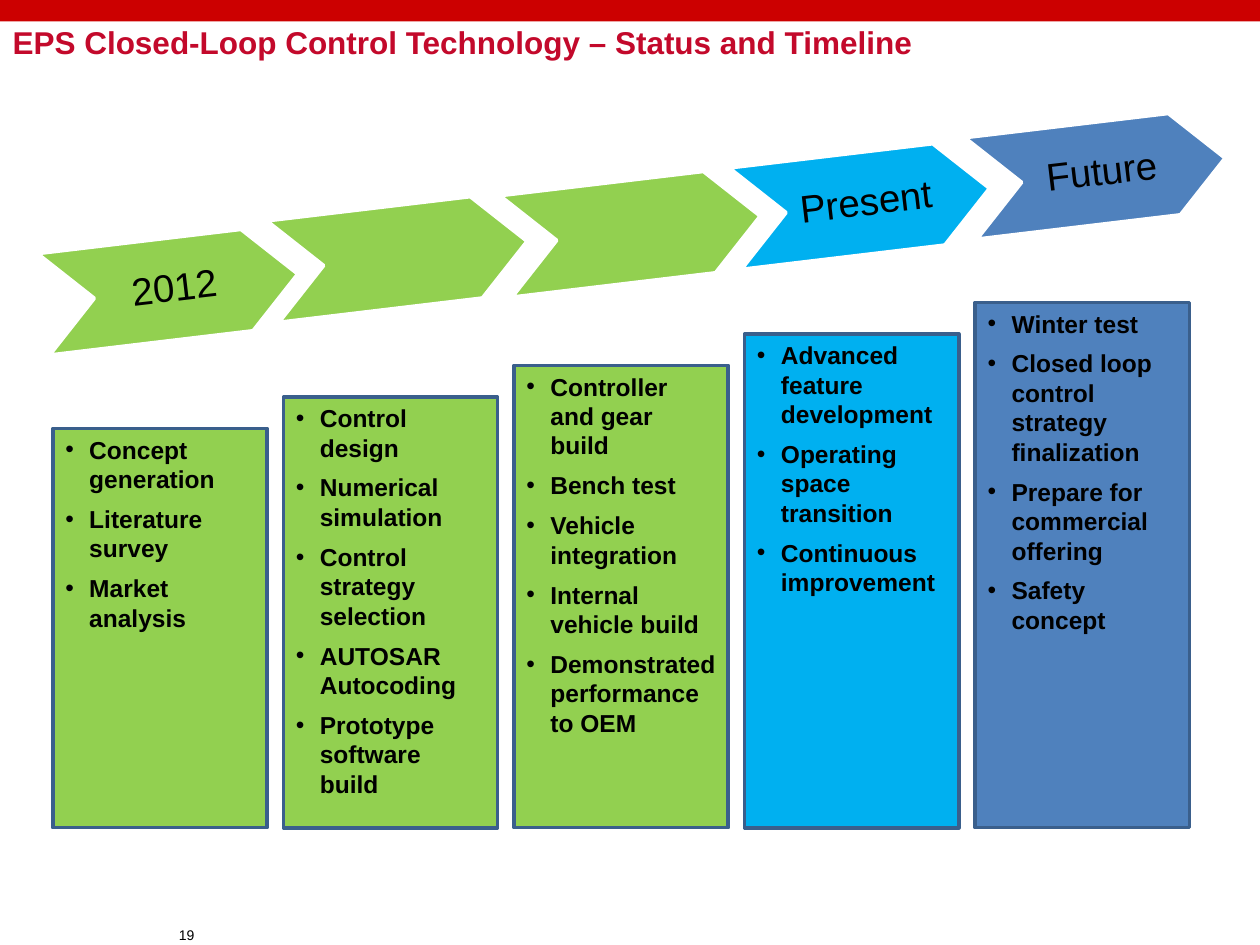
import pptx
import pptx.dml.color
import pptx.enum.shapes
import pptx.enum.text
import pptx.oxml
import pptx.oxml.ns
import pptx.util

Inches = pptx.util.Inches
Pt = pptx.util.Pt
SHAPE = pptx.enum.shapes.MSO_SHAPE
ALIGN = pptx.enum.text.PP_ALIGN
ANCHOR = pptx.enum.text.MSO_ANCHOR

GREEN, CYAN, BLUE = "92D050", "00B0F0", "4F81BD"
TILT = 353.2
BOTTOM = 6.57

STAGES = [
    ("2012", GREEN, 0.34, 1.89,
     ["Concept generation", "Literature survey", "Market analysis"]),
    ("", GREEN, 2.16, 1.63,
     ["Control design", "Numerical simulation", "Control strategy selection",
      "AUTOSAR Autocoding", "Prototype software build"]),
    ("", GREEN, 4.01, 1.43,
     ["Controller and gear build", "Bench test", "Vehicle integration",
      "Internal vehicle build", "Demonstrated performance to OEM"]),
    ("Present", CYAN, 5.83, 1.21,
     ["Advanced feature development", "Operating space transition",
      "Continuous improvement"]),
    ("Future", BLUE, 7.7, 0.97,
     ["Winter test", "Closed loop control strategy finalization",
      "Prepare for commercial offering", "Safety concept"]),
]


def rgb(value):
    return pptx.dml.color.RGBColor.from_string(value)


def set_frame(tf, anchor, insets):
    tf.word_wrap = True
    tf.auto_size = pptx.enum.text.MSO_AUTO_SIZE.NONE
    tf.vertical_anchor = anchor
    tf.margin_left, tf.margin_top, tf.margin_right, tf.margin_bottom = map(Inches, insets)


def write(p, text, size=14, color="000000", bold=False, align=ALIGN.LEFT,
          after=0, spacing=1.0):
    p.alignment = align
    p.space_before = Pt(0)
    p.space_after = Pt(after)
    p.line_spacing = spacing
    r = p.add_run()
    r.text = text
    r.font.name = "Arial"
    r.font.size = Pt(size)
    r.font.bold = bold
    r.font.color.rgb = rgb(color)


def add_bullet(p):
    pPr = p._p.get_or_add_pPr()
    pPr.set("marL", str(Inches(0.19)))
    pPr.set("indent", str(-Inches(0.19)))
    ns = pptx.oxml.ns.nsdecls("a")
    for xml in (f'<a:buFont {ns} typeface="Arial"/>', f'<a:buChar {ns} char="•"/>'):
        pPr.append(pptx.oxml.parse_xml(xml))


def add_block(s, kind, box, fill, line=None):
    sp = s.shapes.add_shape(kind, *map(Inches, box))
    sp.shadow.inherit = False
    sp.fill.solid()
    sp.fill.fore_color.rgb = rgb(fill)
    if line:
        sp.line.color.rgb = rgb(line)
        sp.line.width = Pt(2)
    else:
        sp.line.fill.background()
    return sp


def add_text(s, text, box, anchor, insets, **fmt):
    sp = s.shapes.add_textbox(*map(Inches, box))
    set_frame(sp.text_frame, anchor, insets)
    write(sp.text_frame.paragraphs[0], text, **fmt)
    return sp


def add_title(s, text):
    sp = s.shapes.title
    sp.left, sp.top, sp.width, sp.height = map(Inches, (0, 0, 7.83, 0.67))
    set_frame(sp.text_frame, ANCHOR.MIDDLE, (0.1, 0.05, 0.1, 0.05))
    write(sp.text_frame.paragraphs[0], text, size=18, color="C3092B", bold=True)


def add_task_box(s, left, top, fill, tasks):
    sp = add_block(s, SHAPE.RECTANGLE, (left, top, 1.7, BOTTOM - top), fill, "3A5F8C")
    tf = sp.text_frame
    set_frame(tf, ANCHOR.TOP, (0.1, 0.05, 0.1, 0.05))
    for i, task in enumerate(tasks):
        p = tf.add_paragraph() if i else tf.paragraphs[0]
        add_bullet(p)
        write(p, task, bold=True, after=6)


def add_chevron(s, left, top, fill, label):
    sp = add_block(s, SHAPE.CHEVRON, (left, top, 2.03, 0.81), fill, "FFFFFF")
    sp.rotation = TILT
    if label:
        tb = add_text(s, label, (left + 0.4, top, 1.22, 0.81), ANCHOR.MIDDLE,
                      (0.1, 0.03, 0.03, 0.03), size=22, align=ALIGN.CENTER, spacing=0.9)
        tb.rotation = TILT


def main():
    prs = pptx.Presentation()
    prs.slide_width, prs.slide_height = Inches(10), Inches(7.5)
    s = prs.slides.add_slide(prs.slide_layouts[5])
    add_block(s, SHAPE.RECTANGLE, (0, 0, 10, 0.17), "CC0000")
    add_title(s, "EPS Closed-Loop Control Technology – Status and Timeline")
    add_text(s, "19", (1.42, 7.35, 1.33, 0.15), ANCHOR.TOP, (0, 0, 0, 0), size=8)
    for i, (label, fill, left, top, tasks) in enumerate(STAGES):
        add_task_box(s, 0.42 + 1.83 * i, 3.4 - 0.25 * i, fill, tasks)
        add_chevron(s, left, top, fill, label)
    prs.save("out.pptx")


if __name__ == "__main__":
    main()
